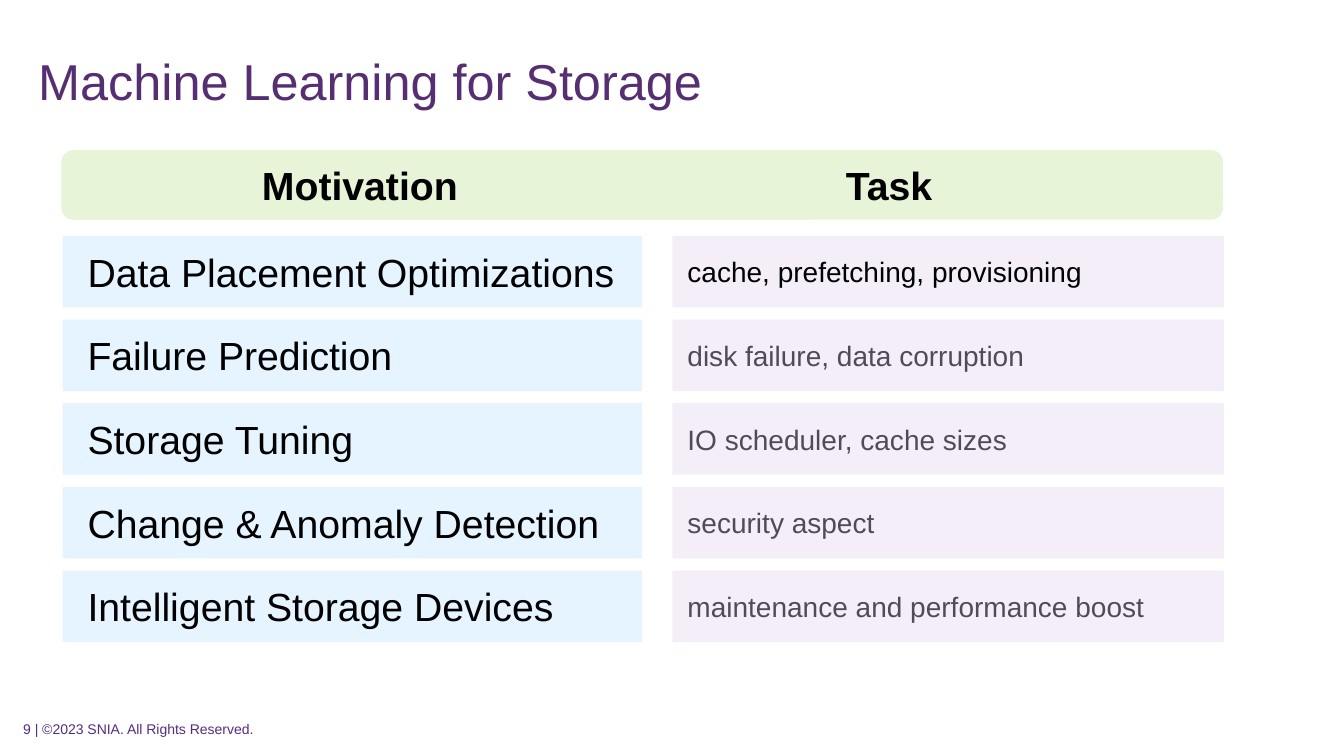
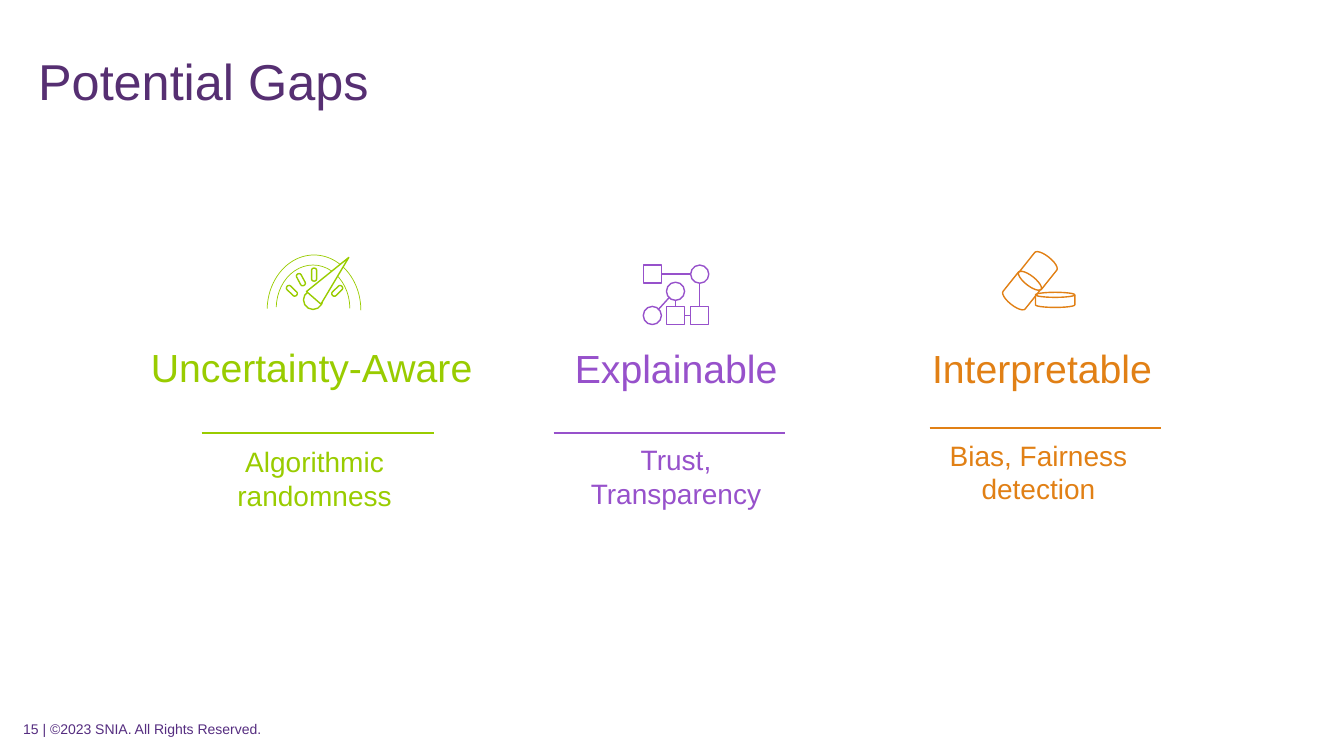
"""Build two slides on machine learning for storage."""
from dataclasses import dataclass

from lxml import etree
from pptx import Presentation
from pptx import util as u
from pptx.dml import color
from pptx.enum import shapes, text
from pptx.oxml import ns


@dataclass(frozen=True)
class Theme:
    font: str = "Arial"
    title: str = "562F72"
    footer: str = "552D80"
    ink: str = "000000"
    paper: str = "FFFFFF"
    header: str = "92D050"
    motivation: str = "E5F4FF"
    task: str = "E3D1F1"
    green: str = "99CC00"
    purple: str = "9751CB"
    orange: str = "E18015"
    title_size: float = 36
    heading_size: float = 28
    body_size: float = 20
    footer_size: float = 10
    header_alpha: int = 22
    task_alpha: int = 36
    rule_width: float = 1.5
    icon_width: float = 1
    fine_width: float = 0.5


THEME = Theme()
PRESET = shapes.MSO_SHAPE
COPYRIGHT = "©2023 SNIA. All Rights Reserved."

HEADERS = [("Motivation", 2.5), ("Task", 8.29)]
ROWS = [
    ("Data Placement Optimizations", "cache, prefetching, provisioning"),
    ("Failure Prediction", "disk failure, data corruption"),
    ("Storage Tuning", "IO scheduler, cache sizes"),
    ("Change & Anomaly Detection", "security aspect"),
    ("Intelligent Storage Devices", "maintenance and performance boost"),
]
ROW_TOP, ROW_STEP, ROW_HEIGHT = 2.34, 0.83, 0.71

GAPS = [
    {"heading": ("Uncertainty-Aware", 1.44, 3.36, 3.3),
     "detail": ("Algorithmic randomness", 1.98, 4.36, 2.28),
     "rule": (2.0, 4.3), "color": THEME.green},
    {"heading": ("Explainable", 5.58, 3.37, 2.25),
     "detail": ("Trust, Transparency", 5.4, 4.34, 2.61),
     "rule": (5.49, 4.3), "color": THEME.purple},
    {"heading": ("Interpretable", 9.15, 3.37, 2.37),
     "detail": ("Bias, Fairness detection", 9.15, 4.3, 2.3),
     "rule": (9.22, 4.25), "color": THEME.orange},
]
RULE_LENGTH = 2.3

GAUGE_ARCS = [(2.74, 2.63, 0.73, 0.86), (2.65, 2.53, 0.93, 1.1)]
ARC_START = 109.24
GAUGE_TICKS = [(2.83, 2.86, 44), (2.92, 2.75, 62), (3.05, 2.7, 90), (3.28, 2.86, 316)]
TICK_SIZE = (0.13, 0.05)
GAUGE_NEEDLE = [
    (PRESET.CHORD, (3.01, 2.88, 0.19, 0.19), 330),
    (PRESET.ISOSCELES_TRIANGLE, (3.19, 2.49, 0.19, 0.53), 41),
]
CAPSULES = [
    (PRESET.FLOWCHART_STORED_DATA, (9.97, 2.76, 0.3, 0.28), 308.6),
    (PRESET.FLOWCHART_STORED_DATA, (10.16, 2.53, 0.3, 0.28), 128.6),
    (PRESET.FLOWCHART_MAGNETIC_DISK, (10.27, 2.9, 0.39, 0.15), 0),
]

NODE_SIZE = 0.18
NODES = {
    "source": (PRESET.RECTANGLE, 6.38, 2.63),
    "hub": (PRESET.OVAL, 6.85, 2.63),
    "core": (PRESET.OVAL, 6.61, 2.8),
    "leaf": (PRESET.OVAL, 6.38, 3.04),
    "sink": (PRESET.RECTANGLE, 6.85, 3.04),
    "relay": (PRESET.RECTANGLE, 6.61, 3.04),
}
EDGES = [
    ("source", "right", "hub", "left"),
    ("hub", "bottom", "sink", "top"),
    ("sink", "left", "relay", "right"),
    ("relay", "top", "core", "bottom"),
    ("core", "lower left", "leaf", "upper right"),
]
SIDES = {
    "top": (0.5, 0), "left": (0, 0.5), "bottom": (0.5, 1), "right": (1, 0.5),
    "lower left": (0.15, 0.85), "upper right": (0.85, 0.15),
}
SITES = {"top": 0, "left": 1, "bottom": 2, "right": 3}


def inches(values):
    return [u.Inches(value) for value in values]


def rgb(value):
    return color.RGBColor.from_string(value)


def add_text(page, words, area, size, ink, bold=False, align=text.PP_ALIGN.LEFT,
             anchor=text.MSO_ANCHOR.TOP, insets=(0.1, 0.05), spacing=None, grow=True):
    box = page.shapes.add_textbox(*inches(area))
    frame = box.text_frame
    frame.word_wrap = True
    frame.auto_size = text.MSO_AUTO_SIZE.SHAPE_TO_FIT_TEXT if grow else text.MSO_AUTO_SIZE.NONE
    frame.vertical_anchor = anchor
    frame.margin_left = frame.margin_right = u.Inches(insets[0])
    frame.margin_top = frame.margin_bottom = u.Inches(insets[1])
    frame.text = words
    para = frame.paragraphs[0]
    para.alignment = align
    if spacing:
        para.line_spacing = spacing
    for span in para.runs:
        span.font.name = THEME.font
        span.font.size = u.Pt(size)
        span.font.bold = bold
        span.font.color.rgb = rgb(ink)


def add_shape(page, preset, area, fill=None, alpha=None, line=None,
              width=THEME.icon_width, rotation=0):
    shape = page.shapes.add_shape(preset, *inches(area))
    shape.shadow.inherit = False
    shape.rotation = rotation
    if fill:
        shape.fill.solid()
        shape.fill.fore_color.rgb = rgb(fill)
    else:
        shape.fill.background()
    if alpha:
        tone = shape.element.spPr.find(".//" + ns.qn("a:srgbClr"))
        etree.SubElement(tone, ns.qn("a:alpha")).set("val", str(alpha * 1000))
    if line:
        shape.line.color.rgb = rgb(line)
        shape.line.width = u.Pt(width)
    else:
        shape.line.fill.background()
    return shape


def add_line(page, start, end, ink, width):
    line = page.shapes.add_connector(shapes.MSO_CONNECTOR.STRAIGHT, *inches((*start, *end)))
    line.line.color.rgb = rgb(ink)
    line.line.width = u.Pt(width)
    etree.SubElement(line.element.spPr, ns.qn("a:effectLst"))
    return line


def add_page(deck, title, number):
    page = deck.slides.add_slide(deck.slide_layouts[6])
    page.background.fill.solid()
    page.background.fill.fore_color.rgb = rgb(THEME.paper)
    add_text(page, f"{number} | {COPYRIGHT}", (0.17, 7.12, 8.07, 0.23),
             THEME.footer_size, THEME.footer, insets=(0.06, 0.03))
    add_text(page, title, (0.28, 0.4, 12.88, 0.87), THEME.title_size, THEME.title,
             anchor=text.MSO_ANCHOR.MIDDLE, spacing=0.9, grow=False)
    return page


def add_task(page, words, top, text_on_top):
    def panel():
        add_shape(page, PRESET.RECTANGLE, (6.67, top, 5.47, ROW_HEIGHT),
                  THEME.task, THEME.task_alpha)

    def label():
        add_text(page, words, (6.72, top + 0.14, 5.47, 0.44), THEME.body_size, THEME.ink)

    for draw in (panel, label) if text_on_top else (label, panel):
        draw()


def build_storage(deck):
    page = add_page(deck, "Machine Learning for Storage", 9)
    for index, (motivation, task) in enumerate(ROWS):
        top = ROW_TOP + index * ROW_STEP
        add_shape(page, PRESET.RECTANGLE, (0.62, top, 5.75, ROW_HEIGHT), THEME.motivation)
        add_text(page, motivation, (0.77, top + 0.07, 5.47, 0.57),
                 THEME.heading_size, THEME.ink)
        add_task(page, task, top, text_on_top=index == 0)
    add_shape(page, PRESET.ROUNDED_RECTANGLE, (0.61, 1.49, 11.52, 0.69),
              THEME.header, THEME.header_alpha)
    for header, left in HEADERS:
        add_text(page, header, (left, 1.55, 2.75, 0.57),
                 THEME.heading_size, THEME.ink, bold=True)


def add_gauge(page, ink):
    for area in GAUGE_ARCS:
        arc = add_shape(page, PRESET.ARC, area, line=ink, width=THEME.fine_width)
        arc.adjustments[0] = ARC_START
        arc.adjustments[1] = 0
    for left, top, rotation in GAUGE_TICKS:
        add_shape(page, PRESET.FLOWCHART_TERMINATOR, (left, top, *TICK_SIZE),
                  THEME.paper, line=ink, rotation=rotation)
    for preset, area, rotation in GAUGE_NEEDLE:
        add_shape(page, preset, area, THEME.paper, line=ink, rotation=rotation)


def node_point(name, side):
    _, left, top = NODES[name]
    across, down = SIDES[side]
    return left + across * NODE_SIZE, top + down * NODE_SIZE


def add_network(page, ink):
    drawn = {
        name: add_shape(page, preset, (left, top, NODE_SIZE, NODE_SIZE), line=ink)
        for name, (preset, left, top) in NODES.items()
    }
    for first, first_side, last, last_side in EDGES:
        edge = add_line(page, node_point(first, first_side), node_point(last, last_side),
                        ink, THEME.icon_width)
        if NODES[first][0] == PRESET.RECTANGLE:
            edge.begin_connect(drawn[first], SITES[first_side])
        if NODES[last][0] == PRESET.RECTANGLE:
            edge.end_connect(drawn[last], SITES[last_side])


def add_capsules(page, ink):
    for preset, area, rotation in CAPSULES:
        add_shape(page, preset, area, line=ink, rotation=rotation)


def build_gaps(deck):
    page = add_page(deck, "Potential Gaps", 15)
    for gap, add_icon in zip(GAPS, (add_gauge, add_network, add_capsules)):
        ink = gap["color"]
        heading, left, top, width = gap["heading"]
        add_text(page, heading, (left, top, width, 0.5), THEME.heading_size, ink,
                 align=text.PP_ALIGN.CENTER, insets=(0, 0.1), spacing=0.9, grow=False)
        detail, left, top, width = gap["detail"]
        add_text(page, detail, (left, top, width, 0.77), THEME.body_size, ink,
                 align=text.PP_ALIGN.CENTER)
        left, top = gap["rule"]
        add_line(page, (left, top), (left + RULE_LENGTH, top), ink, THEME.rule_width)
        add_icon(page, ink)


def main():
    deck = Presentation()
    deck.slide_width, deck.slide_height = inches((13.33, 7.5))
    build_storage(deck)
    build_gaps(deck)
    deck.save("out.pptx")


if __name__ == "__main__":
    main()
